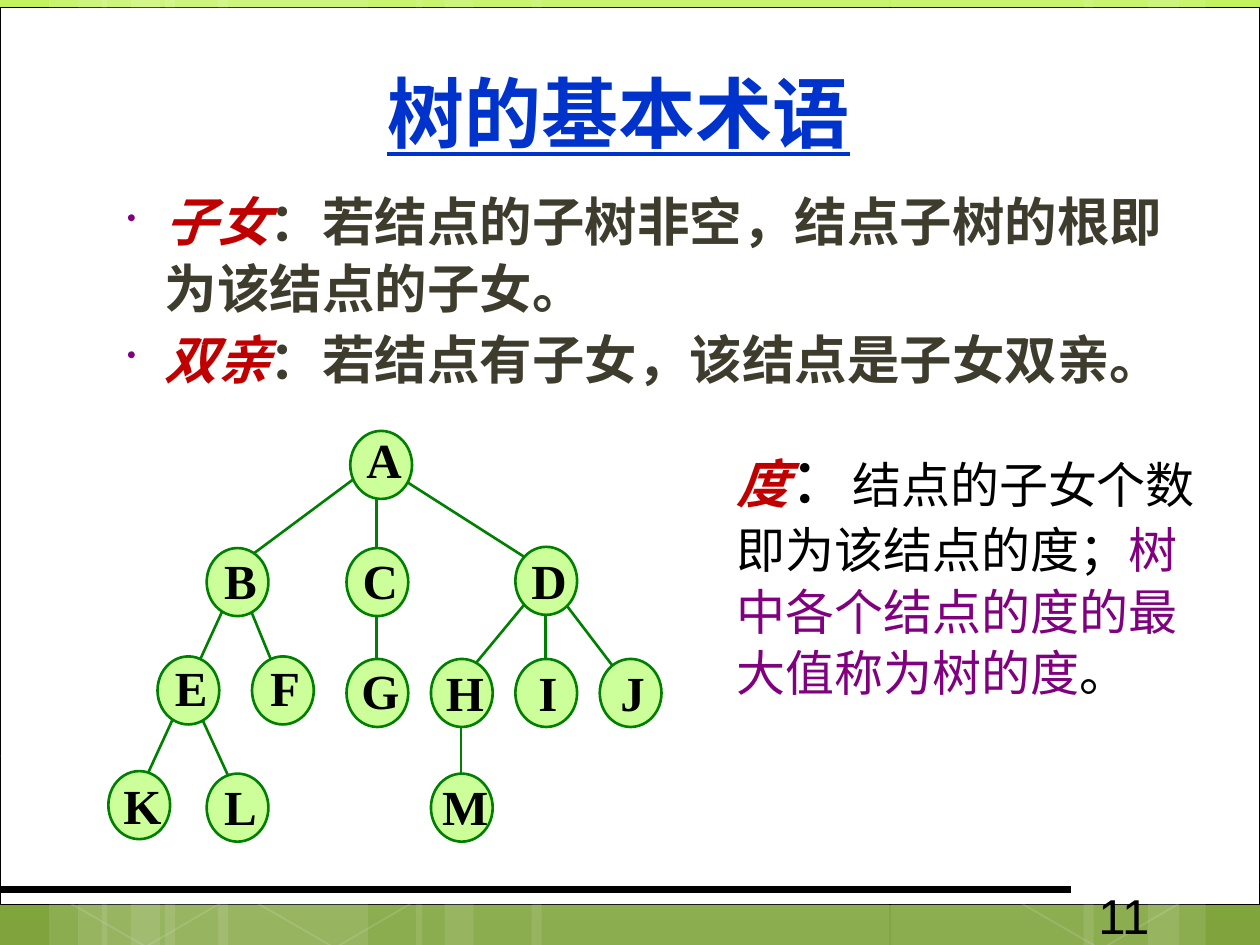
from copy import deepcopy
from typing import NamedTuple

from lxml.etree import SubElement
from pptx import Presentation
from pptx.dml.color import RGBColor
from pptx.enum.shapes import MSO_CONNECTOR, MSO_SHAPE
from pptx.enum.text import MSO_ANCHOR, PP_ALIGN
from pptx.oxml.ns import qn
from pptx.util import Inches, Pt

WHITE = RGBColor(0xFF, 0xFF, 0xFF)
BLACK = RGBColor(0, 0, 0)
BLUE = RGBColor(0x00, 0x33, 0xCC)
RED = RGBColor(0xC0, 0, 0)
OLIVE = RGBColor(0x3E, 0x3D, 0x2D)
PURPLE = RGBColor(0x80, 0, 0x80)
GREEN = RGBColor(0, 0x80, 0)
LIGHT_GREEN = RGBColor(0xCC, 0xFF, 0x99)
BACKGROUND_STOPS = [(0, RGBColor(0xC2, 0xF3, 0x5F)), (0.62, RGBColor(0x92, 0xBE, 0x3F)),
                    (1, RGBColor(0x80, 0xA3, 0x3D))]
SERIF, SANS, CJK, DISPLAY = "Times New Roman", "Arial", "Noto Sans CJK SC", "TeX Gyre Adventor"
NODE_WIDTH, NODE_HEIGHT, LABEL_HEIGHT = 0.49, 0.54, 0.57


class Run(NamedTuple):
    text: str
    size: float
    color: RGBColor
    font: str = SERIF
    bold: bool = False
    italic: bool = False
    underline: bool = False


class Node(NamedTuple):
    letter: str
    left: float
    top: float
    label_top: float
    label_width: float


class Edge(NamedTuple):
    x1: float
    y1: float
    x2: float
    y2: float


STRIPES = [(1.31, 1.61), (0.39, 0.46), (0.62, 0.77), (1.73, 1.62), (0.81, 0.46), (1.04, 0.77),
           (7.07, 1.61), (9.11, 0.46), (8.6, 0.76), (4.22, 2.84), (3.3, 0.46), (3.53, 0.77)]
# Each curve is a start point followed by three points per Bezier segment.
CURVES = [
    [(0.36, 6.17), (1.47, 6.72), (2.58, 7.27), (3.39, 7.49)],
    [(3.59, 6.73), (4.36, 6.9), (5.33, 7.08), (6.09, 7.18), (6.85, 7.29), (7.67, 7.33),
     (8.16, 7.36), (8.64, 7.4), (8.77, 7.38), (9.01, 7.38), (9.24, 7.37), (9.41, 7.35),
     (9.58, 7.34)],
    [(2.54, 7.49), (2.7, 7.29), (2.86, 7.09), (3.09, 6.91)],
]
HEXAGONS = [(0.41, 5.91), (1.91, 5.92), (7.99, 5.93)]
EDGES = [
    Edge(4.47, 4.77, 4.92, 5.36), Edge(4.16, 4.8, 3.73, 5.32), Edge(4.33, 4.88, 4.33, 5.3),
    Edge(3.66, 5.72, 3.66, 6.22), Edge(3.19, 3.8, 4.24, 4.47), Edge(2.81, 3.8, 1.91, 4.47),
    Edge(2.99, 3.88, 2.99, 5.72), Edge(1.96, 4.77, 2.21, 5.38), Edge(1.61, 5.72, 1.84, 6.22),
    Edge(1.82, 4.73, 1.04, 6.43),
]
NODES = [
    Node("D", 4.09, 4.34, 4.32, 0.43), Node("A", 2.78, 3.42, 3.36, 0.43),
    Node("C", 2.75, 4.35, 4.32, 0.43), Node("B", 1.64, 4.35, 4.32, 0.41),
    Node("I", 4.09, 5.23, 5.21, 0.32), Node("J", 4.76, 5.23, 5.21, 0.36),
    Node("H", 3.42, 5.23, 5.21, 0.45), Node("G", 2.75, 5.23, 5.19, 0.45),
    Node("F", 2.0, 5.21, 5.17, 0.4), Node("E", 1.25, 5.21, 5.17, 0.41),
    Node("M", 3.42, 6.14, 6.11, 0.51), Node("L", 1.64, 6.14, 6.11, 0.41),
    Node("K", 0.86, 6.12, 6.1, 0.45),
]
TERMS = [("子女", "：若结点的子树非空，结点子树的根即为该结点的子女。"),
         ("双亲", "：若结点有子女，该结点是子女双亲。")]


def paint_background(slide) -> None:
    fill = slide.background.fill
    fill.gradient()
    fill.gradient_angle = 270
    stop_list = slide.element.find(".//" + qn("a:gsLst"))
    stop_list.append(deepcopy(stop_list[-1]))
    for stop, (position, color) in zip(fill.gradient_stops, BACKGROUND_STOPS):
        stop.position = position
        stop.color.rgb = color


def set_opacity(shape, parent_tag: str, percent: int) -> None:
    """Make the solid fill directly under parent_tag translucent."""
    parent = next(shape._element.iter(qn(parent_tag)))
    color = parent.find(qn("a:solidFill"))[0]
    SubElement(color, qn("a:alpha"), val=str(percent * 1000))


def style_shape(shape, fill=None, line=None, line_width: float = 1) -> None:
    shape.shadow.inherit = False
    for part, color in ((shape.fill, fill), (shape.line.fill, line)):
        if color is None:
            part.background()
        else:
            part.solid()
            part.fore_color.rgb = color
    if line is not None:
        shape.line.width = Pt(line_width)


def add_preset(slide, kind, left, top, width, height, **style):
    shape = slide.shapes.add_shape(kind, Inches(left), Inches(top), Inches(width), Inches(height))
    style_shape(shape, **style)
    return shape


def add_line(slide, edge: Edge, color: RGBColor, width: float) -> None:
    line = slide.shapes.add_connector(MSO_CONNECTOR.STRAIGHT, *map(Inches, edge))
    line.line.color.rgb = color
    line.line.width = Pt(width)
    SubElement(line._element.spPr, qn("a:effectLst"))


def add_curve(slide, points: list, steps: int = 12) -> None:
    track = [points[0]]
    for start in range(0, len(points) - 1, 3):
        segment = points[start:start + 4]
        for step in range(1, steps + 1):
            t = step / steps
            weights = ((1 - t) ** 3, 3 * t * (1 - t) ** 2, 3 * t * t * (1 - t), t ** 3)
            track.append(tuple(sum(w * p[axis] for w, p in zip(weights, segment)) for axis in (0, 1)))
    builder = slide.shapes.build_freeform(*track[0], scale=Inches(1))
    builder.add_line_segments(track[1:], close=False)
    curve = builder.convert_to_shape()
    style_shape(curve, line=WHITE, line_width=0.5)
    set_opacity(curve, "a:ln", 20)


def add_backdrop(slide) -> None:
    add_preset(slide, MSO_SHAPE.RECTANGLE, 0, 0.06, 10, 7.12,
               fill=WHITE, line=BLACK, line_width=0.5)
    for left, width in STRIPES:
        stripe = add_preset(slide, MSO_SHAPE.RECTANGLE, left, 0, width, 7.5, fill=WHITE)
        set_opacity(stripe, "p:spPr", 10)
    for points in CURVES:
        add_curve(slide, points)
    for left, top in HEXAGONS:
        hexagon = add_preset(slide, MSO_SHAPE.HEXAGON, left, top, 1.61, 1.52, line=WHITE)
        hexagon.rotation = 30
        hexagon.adjustments[0] = 0.285
        set_opacity(hexagon, "a:ln", 12)
    add_line(slide, Edge(0, 7.06, 8.5, 7.06), BLACK, 4.5)


def add_runs(paragraph, runs: list[Run]) -> None:
    for item in runs:
        run = paragraph.add_run()
        run.text = item.text
        font = run.font
        font.name, font.size, font.color.rgb = item.font, Pt(item.size), item.color
        font.bold, font.italic, font.underline = item.bold, item.italic, item.underline


def add_text(slide, left, top, width, height, runs=(), align=PP_ALIGN.LEFT,
             anchor=MSO_ANCHOR.TOP, wrap=True):
    box = slide.shapes.add_textbox(Inches(left), Inches(top), Inches(width), Inches(height))
    frame = box.text_frame
    frame.word_wrap, frame.vertical_anchor = wrap, anchor
    frame.paragraphs[0].alignment = align
    add_runs(frame.paragraphs[0], runs)
    return frame


def add_bullet(paragraph) -> None:
    properties = paragraph._p.get_or_add_pPr()
    properties.set("marL", str(Inches(0.38)))
    properties.set("indent", str(Inches(-0.3)))
    SubElement(SubElement(properties, qn("a:buClr")), qn("a:srgbClr"), val=str(PURPLE))
    SubElement(properties, qn("a:buSzPct"), val="50000")
    SubElement(properties, qn("a:buChar"), char="•")


def add_terms(slide) -> None:
    frame = add_text(slide, 0.83, 1.43, 8.58, 1.73)
    for index, (term, meaning) in enumerate(TERMS):
        paragraph = frame.add_paragraph() if index else frame.paragraphs[0]
        add_bullet(paragraph)
        paragraph.line_spacing = 1.05
        if index:
            paragraph.space_before = Pt(3)
        add_runs(paragraph, [Run(term, 30, RED, bold=True, italic=True),
                             Run(meaning, 30, OLIVE, bold=True)])


def add_node(slide, node: Node) -> None:
    add_preset(slide, MSO_SHAPE.OVAL, node.left, node.top, NODE_WIDTH, NODE_HEIGHT,
               fill=LIGHT_GREEN, line=GREEN, line_width=1.5)
    label_left = node.left + (NODE_WIDTH - node.label_width) / 2
    add_text(slide, label_left, node.label_top, node.label_width, LABEL_HEIGHT,
             [Run(node.letter, 28, BLACK, bold=True)], PP_ALIGN.CENTER, MSO_ANCHOR.MIDDLE, False)


def main() -> None:
    presentation = Presentation()
    presentation.slide_width, presentation.slide_height = Inches(10), Inches(7.5)
    slide = presentation.slides.add_slide(presentation.slide_layouts[6])
    paint_background(slide)
    add_backdrop(slide)
    title = Run("树的基本术语", 44, BLUE, DISPLAY, bold=True, underline=True)
    add_text(slide, 0.66, 0.36, 8.5, 1.06, [title], PP_ALIGN.CENTER, MSO_ANCHOR.MIDDLE, False)
    add_terms(slide)
    add_text(slide, 8.62, 6.98, 1.46, 0.4, [Run("11", 28, BLACK, SANS)])
    for edge in EDGES:
        add_line(slide, edge, GREEN, 1.5)
    for node in NODES:
        add_node(slide, node)
    degree = add_text(slide, 5.75, 3.42, 3.94, 2.22, [
        Run("度", 30, RED, bold=True, italic=True), Run("：", 36, BLACK, CJK),
        Run("结点的子女个数即为该结点的度；", 28, BLACK, CJK),
        Run("树中各个结点的度的最大值称为树的度", 28, PURPLE, CJK), Run("。", 28, BLACK, CJK)])
    degree.paragraphs[0].line_spacing = 1.05
    presentation.save("out.pptx")


if __name__ == "__main__":
    main()
